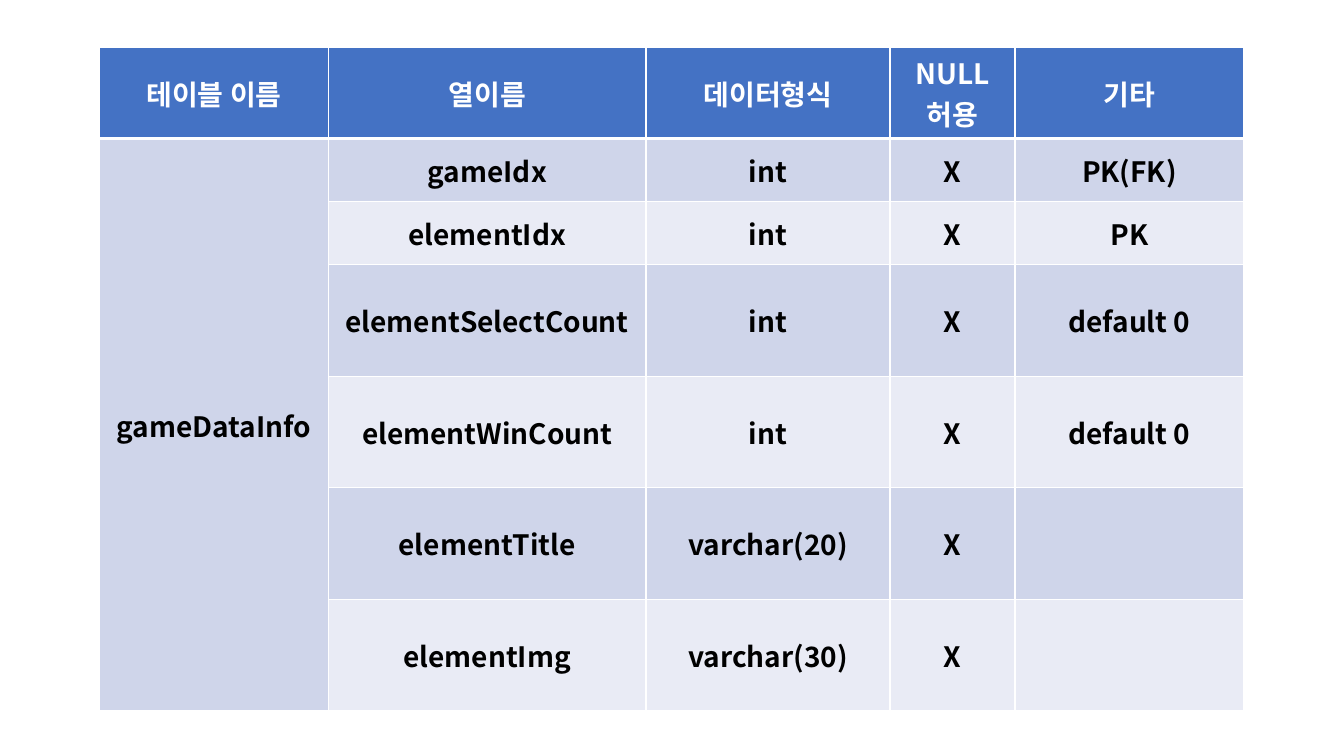
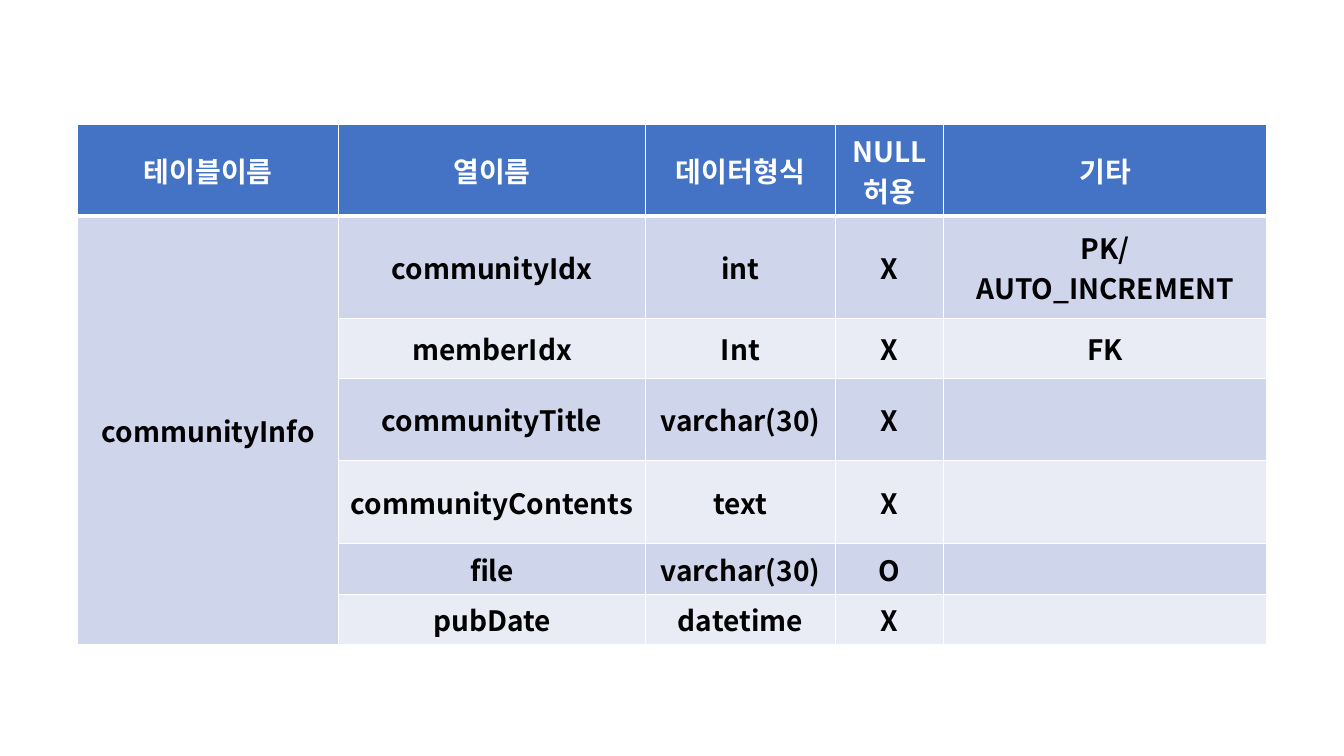
"""Build two slides that describe database tables."""
from lxml.etree import SubElement
from pptx import Presentation
from pptx.dml.color import RGBColor
from pptx.enum.text import MSO_ANCHOR, PP_ALIGN
from pptx.oxml.ns import qn
from pptx.util import Cm, Pt

HEADS = ["열이름", "데이터형식", "NULL허용", "기타"]

TABLES = [
    {
        "head": "테이블 이름",
        "name": "gameDataInfo",
        "at": (2.51, 1.19),
        "cols": [5.77, 8, 6.15, 3.15, 5.77],
        "rows": [2.26, 1.59, 1.59, 2.81, 2.81, 2.81, 2.81],
        "fields": [
            ("gameIdx", "int", "X", "PK(FK)"),
            ("elementIdx", "int", "X", "PK"),
            ("elementSelectCount", "int", "X", "default 0"),
            ("elementWinCount", "int", "X", "default 0"),
            ("elementTitle", "varchar(20)", "X", ""),
            ("elementImg", "varchar(30)", "X", ""),
        ],
    },
    {
        "head": "테이블이름",
        "name": "communityInfo",
        "at": (1.96, 3.14),
        "cols": [6.58, 7.72, 4.8, 2.72, 8.15],
        "rows": [2.08, 2.59, 1.5, 2.08, 2.08, 1.22, 1.22],
        "fields": [
            ("communityIdx", "int", "X", "PK/ AUTO_INCREMENT"),
            ("memberIdx", "Int", "X", "FK"),
            ("communityTitle", "varchar(30)", "X", ""),
            ("communityContents", "text", "X", ""),
            ("file", "varchar(30)", "O", ""),
            ("pubDate", "datetime", "X", ""),
        ],
    },
]

THEME = {
    "font": {"name": "Noto Sans CJK KR", "size": Pt(20), "bold": True},
    "head": {"fill": "4472C4", "text": "FFFFFF"},
    "bands": [
        {"fill": "CFD5EA", "text": "000000"},
        {"fill": "E9EBF5", "text": "000000"},
    ],
    "rule": "FFFFFF",
    "thin": Pt(1),
    "thick": Pt(3),
}


def add_rules(cell, row):
    props = cell._tc.get_or_add_tcPr()
    heavy = {0: "lnB", 1: "lnT"}.get(row)
    for side in ("lnL", "lnR", "lnT", "lnB"):
        width = THEME["thick" if side == heavy else "thin"]
        line = SubElement(props, qn(f"a:{side}"), w=str(width))
        fill = SubElement(line, qn("a:solidFill"))
        SubElement(fill, qn("a:srgbClr"), val=THEME["rule"])


def fill_cell(cell, text, row):
    look = THEME["bands"][(row - 1) % 2] if row else THEME["head"]
    add_rules(cell, row)
    cell.fill.solid()
    cell.fill.fore_color.rgb = RGBColor.from_string(look["fill"])
    cell.vertical_anchor = MSO_ANCHOR.MIDDLE
    if not text:
        return
    para = cell.text_frame.paragraphs[0]
    para.alignment = PP_ALIGN.CENTER
    run = para.add_run()
    run.text = text
    for key, value in THEME["font"].items():
        setattr(run.font, key, value)
    run.font.color.rgb = RGBColor.from_string(look["text"])
    SubElement(run._r.get_or_add_rPr(), qn("a:ea"),
               typeface=THEME["font"]["name"])


def add_grid(slide, data):
    cols, rows = data["cols"], data["rows"]
    box = [Cm(n) for n in (*data["at"], sum(cols), sum(rows))]
    grid = slide.shapes.add_table(len(rows), len(cols), *box).table
    grid.horz_banding = False
    for col, width in zip(grid.columns, cols):
        col.width = Cm(width)
    for row, height in zip(grid.rows, rows):
        row.height = Cm(height)
    names = [data["head"], data["name"]] + [""] * (len(rows) - 2)
    lines = [HEADS, *data["fields"]]
    for r, (name, line) in enumerate(zip(names, lines)):
        for c, text in enumerate([name, *line]):
            fill_cell(grid.cell(r, c), text, r)
    grid.cell(1, 0).merge(grid.cell(len(rows) - 1, 0))


def main():
    deck = Presentation()
    deck.slide_width, deck.slide_height = Cm(33.87), Cm(19.05)
    for data in TABLES:
        add_grid(deck.slides.add_slide(deck.slide_layouts[6]), data)
    deck.save("out.pptx")


if __name__ == "__main__":
    main()
